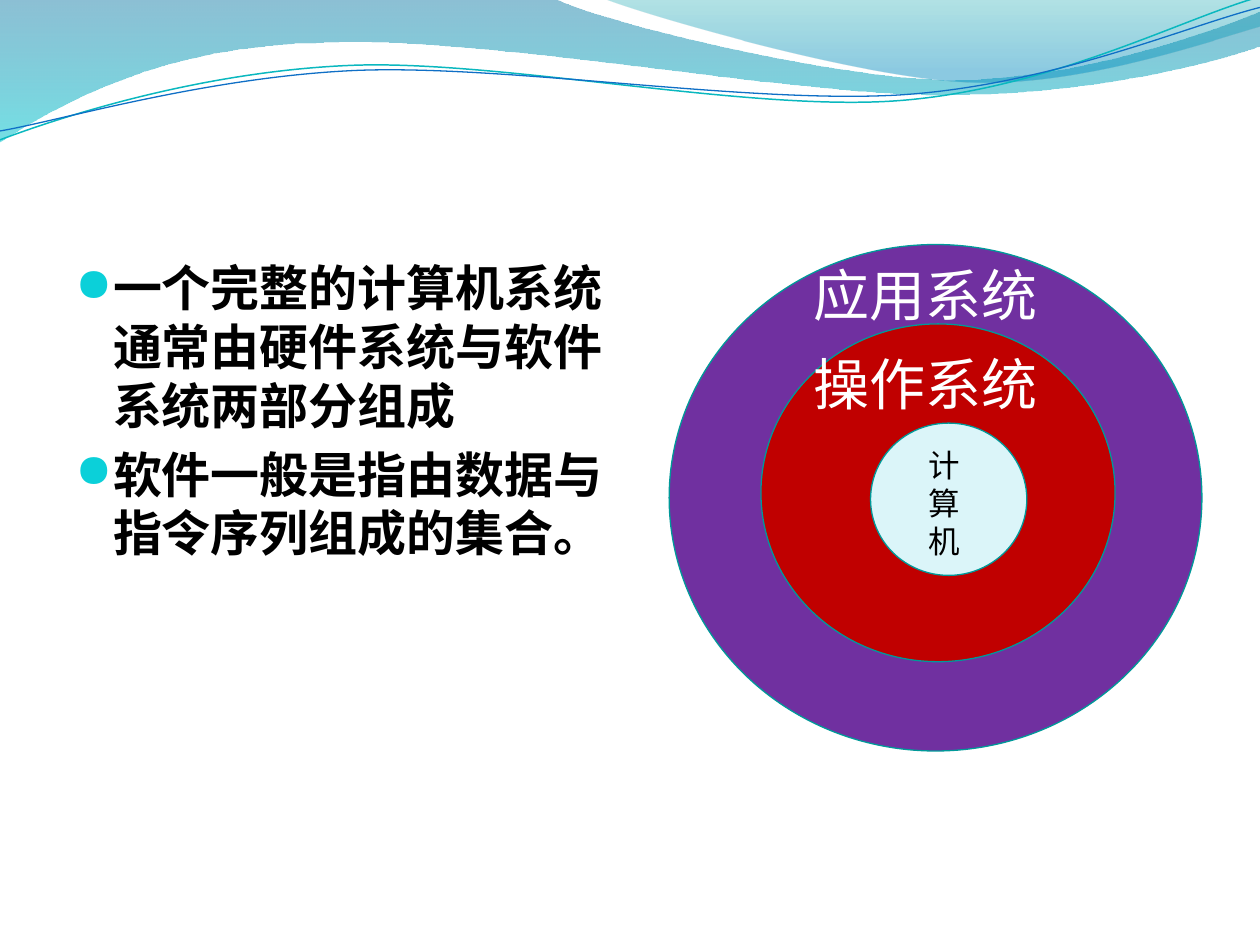
from math import cos, radians, sin

from lxml import etree
from pptx import Presentation
from pptx.dml.color import RGBColor
from pptx.enum.shapes import MSO_SHAPE
from pptx.enum.text import PP_ALIGN
from pptx.oxml.ns import qn
from pptx.util import Cm, Pt

OVAL = MSO_SHAPE.OVAL
LEFT, JUSTIFY = PP_ALIGN.LEFT, PP_ALIGN.JUSTIFY
CJK_FONT, LATIN_FONT, BULLET_FONT = "Noto Sans CJK SC", "Times New Roman", "OpenSymbol"
WAVE_TILT = 2.7
COLORS = {
    "black": "000000", "white": "FFFFFF", "bullet": "0BD0D9",
    "band_top": "0074A1", "band_bottom": "00C6CF",
    "corner_top": "00A1A9", "corner_bottom": "008BBF",
    "teal_wave": "0AB8BF", "blue_wave": "0F6FC6",
    "application": "7030A0", "operating": "C00000", "computer": "DBF5F9",
    "ring_line": "009999",
}
BAND = [
    [(0, -0.03)],
    [(11.18, -0.03)],
    [(12.09, 0.43), (16.87, 1.6), (19.25, 1.6)],
    [(21.67, 1.6), (24.33, 0.66), (25.4, 0.23)],
    [(25.43, 0.91)],
    [(24.97, 1.12), (22.1, 1.93), (18.95, 1.91)],
    [(15.8, 1.91), (9.7, 0.71), (6.53, 0.86)],
    [(3.28, 0.89), (1.17, 2.11), (-0.03, 2.87)],
]
CORNER = [
    [(12.17, -0.03)],
    [(12.93, 0.28), (17.32, 1.57), (19.53, 1.65)],
    [(21.74, 1.75), (24.41, 0.81), (25.4, 0.53)],
    [(25.4, 0)],
]
TEAL_WAVE = [
    [(0, 2.82)],
    [(1.22, 2.36), (4.01, 1.45), (7.04, 1.32)],
    [(10.03, 1.19), (15.06, 2.26), (18.11, 2.03)],
    [(21.16, 1.8), (23.83, 0.38), (25.35, -0.05)],
]
BLUE_WAVE = [
    [(0, 2.64)],
    [(1.19, 2.44), (4.17, 1.55), (7.19, 1.42)],
    [(10.24, 1.3), (15.14, 2.11), (18.21, 1.91)],
    [(21.23, 1.7), (23.9, 0.53), (25.4, 0.15)],
]
RINGS = [
    ("application", 13.49, 4.93, 10.74, 10.21),
    ("operating", 15.34, 6.53, 7.14, 6.81),
    ("computer", 17.55, 8.53, 3.15, 3.07),
]
STATEMENTS = [
    "一个完整的计算机系统通常由硬件系统与软件系统两部分组成",
    "软件一般是指由数据与指令序列组成的集合。",
]


def color(name):
    return RGBColor.from_string(COLORS[name])


def add_element(parent, tag, **attributes):
    element = etree.SubElement(parent, qn(tag))
    for key, value in attributes.items():
        element.set(key, str(value))
    return element


def add_outline(slide, segments, close):
    points = [(Cm(x), Cm(y)) for segment in segments for x, y in segment]
    builder = slide.shapes.build_freeform(*points[0])
    builder.add_line_segments(points[1:], close=close)
    shape = builder.convert_to_shape()
    shape.shadow.inherit = False
    lines = iter(list(shape._element.iter(qn("a:lnTo"))))
    for segment in segments[1:]:
        parts = [next(lines) for _ in segment]
        if len(parts) == 3:
            curve = etree.Element(qn("a:cubicBezTo"))
            parts[0].addprevious(curve)
            for part in parts:
                curve.append(part[0])
                part.getparent().remove(part)
    return shape


def add_gradient_area(slide, segments, stops):
    shape = add_outline(slide, segments, True)
    shape.line.fill.background()
    gradient = etree.Element(qn("a:gradFill"), rotWithShape="1")
    stop_list = add_element(gradient, "a:gsLst")
    for position, name, opacity in stops:
        stop = add_element(stop_list, "a:gs", pos=position * 1000)
        stop_color = add_element(stop, "a:srgbClr", val=COLORS[name])
        add_element(stop_color, "a:alpha", val=opacity * 1000)
    add_element(gradient, "a:lin", ang=90 * 60000, scaled=0)
    shape._element.spPr.find(qn("a:custGeom")).addnext(gradient)


def turn(point, center, degrees):
    x, y = point[0] - center[0], point[1] - center[1]
    cosine, sine = cos(radians(degrees)), sin(radians(degrees))
    return center[0] + x * cosine - y * sine, center[1] + x * sine + y * cosine


def add_wave(slide, segments, center, name, width):
    level = [[turn(point, center, WAVE_TILT) for point in segment] for segment in segments]
    shape = add_outline(slide, level, False)
    shape.rotation = 360 - WAVE_TILT
    shape.fill.background()
    shape.line.color.rgb = color(name)
    shape.line.width = Pt(width)


def add_ring(slide, name, left, top, width, height):
    shape = slide.shapes.add_shape(OVAL, Cm(left), Cm(top), Cm(width), Cm(height))
    shape.shadow.inherit = False
    shape.fill.solid()
    shape.fill.fore_color.rgb = color(name)
    shape.line.color.rgb = color("ring_line")
    shape.line.width = Pt(0.75)


def add_text_frame(slide, left, top, width, height, wrap):
    box = slide.shapes.add_textbox(Cm(left), Cm(top), Cm(width), Cm(height))
    box.text_frame.word_wrap = wrap
    return box.text_frame


def style_paragraph(paragraph, text, size, name, font, bold=False, alignment=LEFT):
    paragraph.text = text
    paragraph.alignment = alignment
    paragraph.line_spacing = Pt(size * 1.2)
    paragraph.font.size = Pt(size)
    paragraph.font.bold = bold
    paragraph.font.color.rgb = color(name)
    paragraph.font.name = font
    defaults = paragraph._p.pPr.find(qn("a:defRPr"))
    add_element(defaults, "a:ea", typeface=CJK_FONT)


def add_bullet(paragraph):
    properties = paragraph._p.get_or_add_pPr()
    properties.set("marL", str(Cm(0.76)))
    properties.set("indent", str(-Cm(0.76)))
    bullet_color = add_element(properties, "a:buClr")
    add_element(bullet_color, "a:srgbClr", val=COLORS["bullet"])
    add_element(properties, "a:buSzPct", val=95000)
    add_element(properties, "a:buFont", typeface=BULLET_FONT)
    add_element(properties, "a:buChar", char="●")


def add_statements(slide):
    frame = add_text_frame(slide, 1.27, 5.2, 11.23, 10.69, True)
    frame.margin_top = 0
    for index, text in enumerate(STATEMENTS):
        paragraph = frame.add_paragraph() if index else frame.paragraphs[0]
        add_bullet(paragraph)
        paragraph.space_before = Pt(5.6)
        style_paragraph(paragraph, text, 28, "black", CJK_FONT, bold=True)


def add_ring_labels(slide):
    core = add_text_frame(slide, 18.48, 8.89, 1.14, 2.54, True)
    core.margin_left = core.margin_right = Cm(0.23)
    core.margin_top = core.margin_bottom = Cm(0.11)
    style_paragraph(core.paragraphs[0], "计算机", 18, "black", LATIN_FONT, alignment=JUSTIFY)
    for text, top in (("操作系统", 6.93), ("应用系统", 5.13)):
        frame = add_text_frame(slide, 16.15, top, 5.08, 1.63, False)
        style_paragraph(frame.paragraphs[0], text, 32, "white", LATIN_FONT)


def main():
    presentation = Presentation()
    presentation.slide_width, presentation.slide_height = Cm(25.4), Cm(19.05)
    slide = presentation.slides.add_slide(presentation.slide_layouts[6])
    add_gradient_area(slide, BAND, [(0, "band_top", 45), (100, "band_bottom", 55)])
    add_gradient_area(slide, CORNER, [(0, "corner_top", 30), (80, "corner_bottom", 45)])
    add_wave(slide, TEAL_WAVE, (12.68, 1.46), "teal_wave", 0.85)
    add_wave(slide, BLUE_WAVE, (12.69, 1.5), "blue_wave", 0.75)
    add_statements(slide)
    for ring in RINGS:
        add_ring(slide, *ring)
    add_ring_labels(slide)
    presentation.save("out.pptx")


if __name__ == "__main__":
    main()
